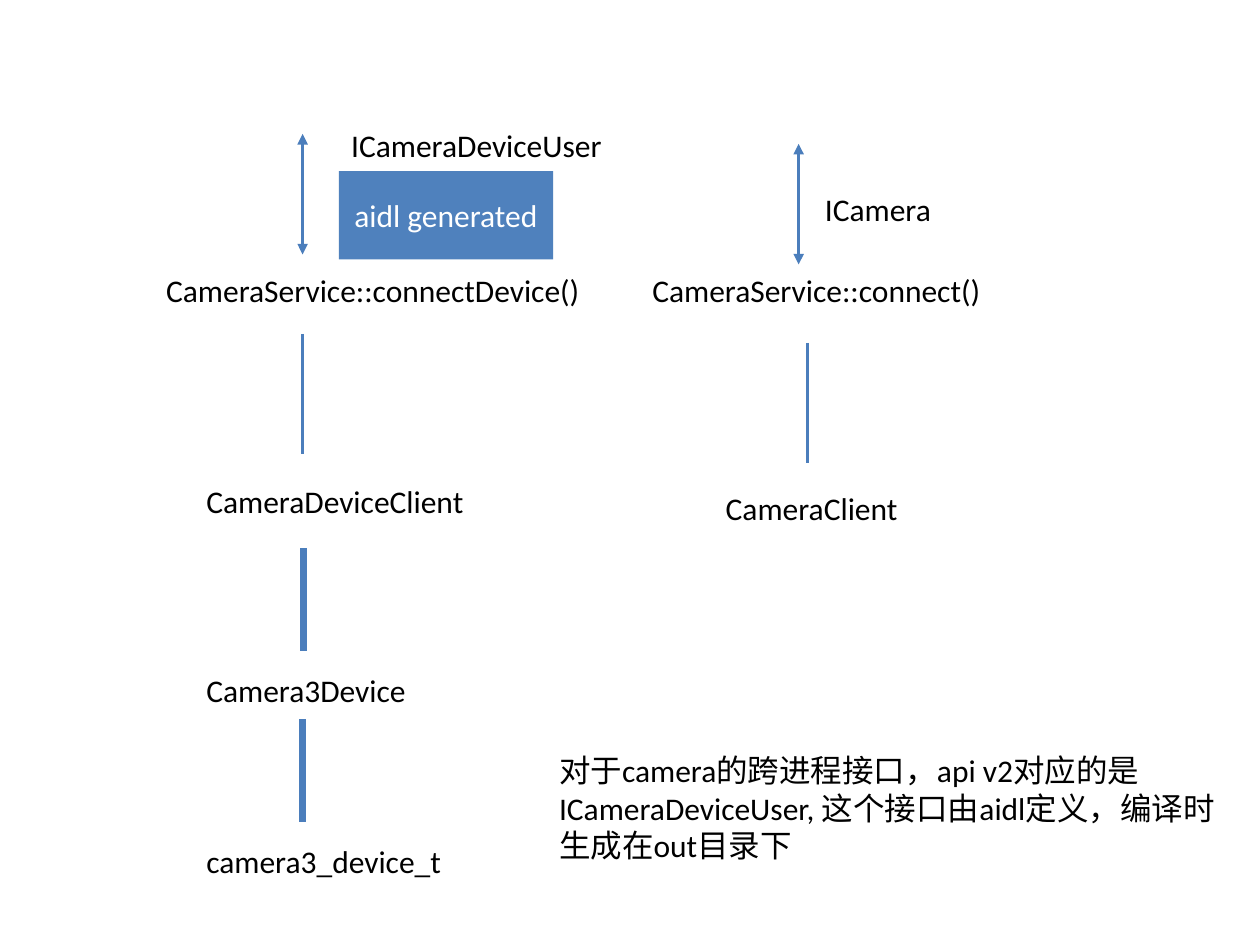
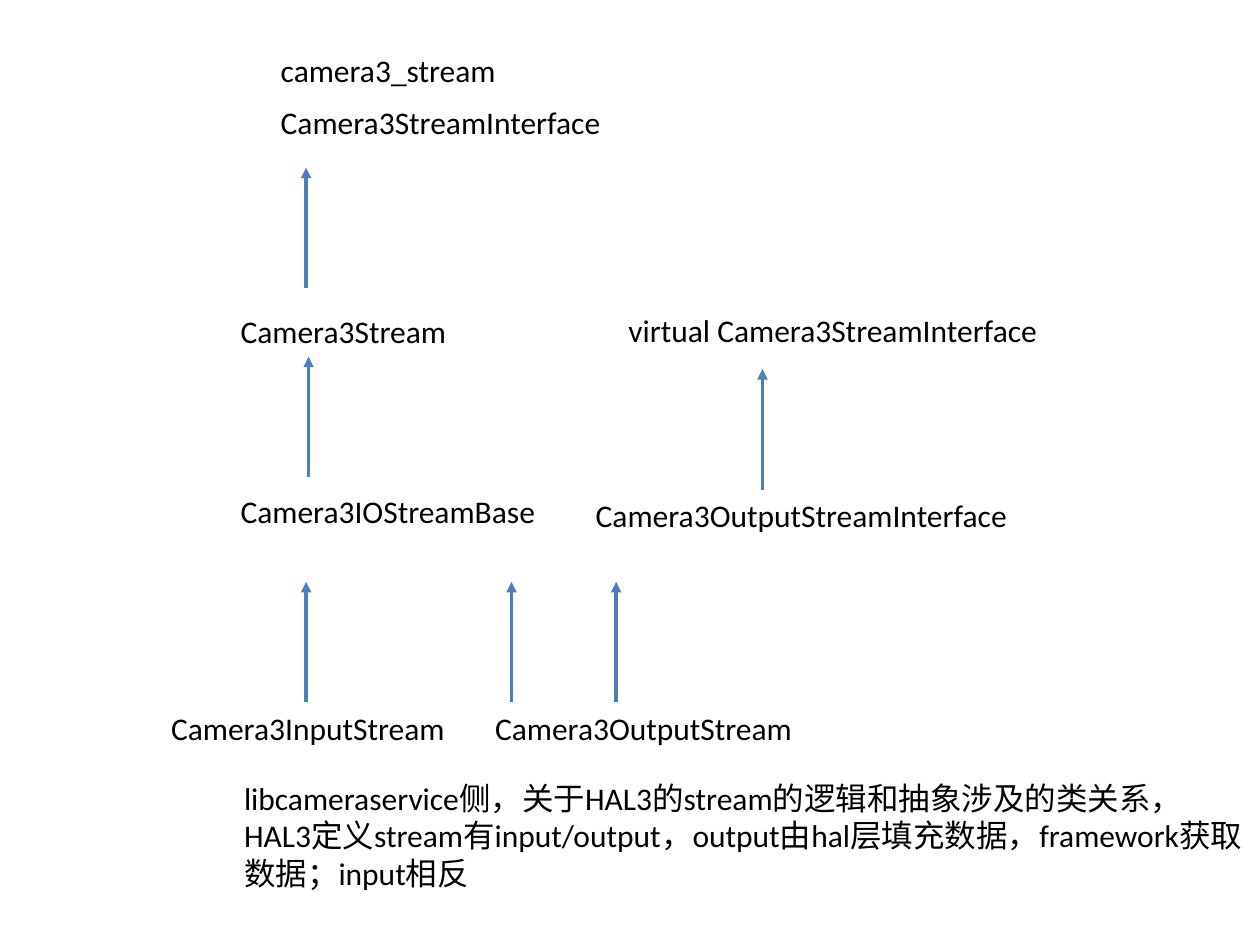
from typing import NamedTuple

from lxml import etree
from pptx import Presentation
from pptx import util as u
from pptx.dml.color import RGBColor
from pptx.enum import shapes, text
from pptx.oxml.ns import qn

COLORS = {"ink": "000000", "paper": "FFFFFF", "link": "4B7EBC", "box": "4F81BD"}
FONT = "Calibri"
LABEL_HEIGHT = 1.02
NOTE_HEIGHT = 2.57
LINK_LENGTH = 2.43
THICK_LENGTH = 2.08


# All lengths are in centimetres.
class Label(NamedTuple):
    caption: str
    left: float
    top: float
    width: float


class Link(NamedTuple):
    x: float
    top: float
    length: float = LINK_LENGTH
    weight: float = 2
    ends: tuple[str, ...] = ()


class Note(NamedTuple):
    lines: tuple[str, ...]
    left: float
    top: float
    width: float


class Diagram(NamedTuple):
    labels: list[Label]
    links: list[Link]
    note: Note
    badges: tuple[Label, ...] = ()


UP = ("headEnd",)
BOTH = ("headEnd", "tailEnd")

# Call path from the service interface down to the device
SERVICE_CALLS = Diagram(
    labels=[
        Label("ICameraDeviceUser", 6.83, 2.41, 5.61),
        Label("CameraService::connectDevice()", 3.1, 5.33, 8.94),
        Label("CameraDeviceClient", 3.91, 9.6, 5.77),
        Label("Camera3Device", 3.91, 13.41, 4.57),
        Label("camera3_device_t", 3.91, 16.84, 5.31),
        Label("ICamera", 16.38, 3.71, 2.67),
        Label("CameraService::connect()", 12.9, 5.33, 7.21),
        Label("CameraClient", 14.38, 9.73, 4.01),
    ],
    links=[
        Link(6.1, 2.7, ends=BOTH),
        Link(6.1, 6.73),
        Link(6.11, 11.05, THICK_LENGTH, 4),
        Link(6.1, 14.5, THICK_LENGTH, 4),
        Link(16.1, 2.9, ends=BOTH),
        Link(16.28, 6.91),
    ],
    note=Note(
        (
            "对于camera的跨进程接口，api v2对应的是",
            "ICameraDeviceUser, 这个接口由aidl定义，编译时",
            "生成在out目录下",
        ),
        11.02, 15.01, 14.02,
    ),
    badges=(Label("aidl generated", 6.83, 3.45, 4.32),),
)

# Inheritance of the stream classes
STREAM_CLASSES = Diagram(
    labels=[
        Label("camera3_stream", 5.41, 0.91, 4.9),
        Label("Camera3StreamInterface", 5.41, 1.96, 7.04),
        Label("Camera3Stream", 4.6, 6.17, 4.7),
        Label("virtual Camera3StreamInterface", 12.42, 6.15, 8.84),
        Label("Camera3IOStreamBase", 4.6, 9.8, 6.5),
        Label("Camera3OutputStreamInterface", 11.76, 9.88, 8.89),
        Label("Camera3InputStream", 3.2, 14.17, 6.1),
        Label("Camera3OutputStream", 9.73, 14.17, 6.55),
    ],
    links=[
        Link(6.17, 3.38, ends=UP),
        Link(6.22, 7.19, ends=UP),
        Link(15.37, 7.44, ends=UP),
        *(Link(x, 11.73, ends=UP) for x in (6.17, 10.31, 12.42)),
    ],
    note=Note(
        (
            "libcameraservice侧，关于HAL3的stream的逻辑和抽象涉及的类关系，",
            "HAL3定义stream有input/output，output由hal层填充数据，framework获取",
            "数据；input相反",
        ),
        4.67, 15.57, 20.83,
    ),
)


def rgb(name: str) -> RGBColor:
    return RGBColor.from_string(COLORS[name])


def write(frame, *lines: str, color: str = "ink", wrap: bool = False,
          align=text.PP_ALIGN.LEFT, anchor=text.MSO_ANCHOR.TOP,
          fit=text.MSO_AUTO_SIZE.SHAPE_TO_FIT_TEXT) -> None:
    frame.word_wrap = wrap
    frame.auto_size = fit
    frame.vertical_anchor = anchor
    for index, line in enumerate(lines):
        paragraph = frame.add_paragraph() if index else frame.paragraphs[0]
        paragraph.alignment = align
        run = paragraph.add_run()
        run.text = line
        run.font.name = FONT
        run.font.size = u.Pt(18)
        run.font.color.rgb = rgb(color)


def draw_label(slide, label: Label) -> None:
    box = slide.shapes.add_textbox(u.Cm(label.left), u.Cm(label.top),
                                   u.Cm(label.width), u.Cm(LABEL_HEIGHT))
    write(box.text_frame, label.caption)


def draw_note(slide, note: Note) -> None:
    box = slide.shapes.add_textbox(u.Cm(note.left), u.Cm(note.top),
                                   u.Cm(note.width), u.Cm(NOTE_HEIGHT))
    write(box.text_frame, *note.lines, wrap=True)


def draw_badge(slide, badge: Label) -> None:
    box = slide.shapes.add_shape(shapes.MSO_SHAPE.RECTANGLE, u.Cm(badge.left),
                                 u.Cm(badge.top), u.Cm(badge.width), u.Cm(1.78))
    box.shadow.inherit = False
    box.fill.solid()
    box.fill.fore_color.rgb = rgb("box")
    box.line.fill.background()
    write(box.text_frame, badge.caption, color="paper", wrap=True,
          align=text.PP_ALIGN.CENTER, anchor=text.MSO_ANCHOR.MIDDLE,
          fit=text.MSO_AUTO_SIZE.NONE)


def draw_link(slide, link: Link) -> None:
    line = slide.shapes.add_connector(
        shapes.MSO_CONNECTOR.STRAIGHT, u.Cm(link.x), u.Cm(link.top),
        u.Cm(link.x), u.Cm(link.top + link.length))
    line.line.color.rgb = rgb("link")
    line.line.width = u.Pt(link.weight)
    outline = line.line._get_or_add_ln()
    for end in link.ends:
        etree.SubElement(outline, qn(f"a:{end}"), type="triangle")
    etree.SubElement(line._element.spPr, qn("a:effectLst"))


def draw_diagram(deck, diagram: Diagram) -> None:
    slide = deck.slides.add_slide(deck.slide_layouts[6])
    for link in diagram.links:
        draw_link(slide, link)
    for badge in diagram.badges:
        draw_badge(slide, badge)
    for label in diagram.labels:
        draw_label(slide, label)
    draw_note(slide, diagram.note)


def main() -> None:
    deck = Presentation()
    deck.slide_width, deck.slide_height = u.Cm(25.4), u.Cm(19.05)
    for diagram in (SERVICE_CALLS, STREAM_CLASSES):
        draw_diagram(deck, diagram)
    deck.save("out.pptx")


if __name__ == "__main__":
    main()
